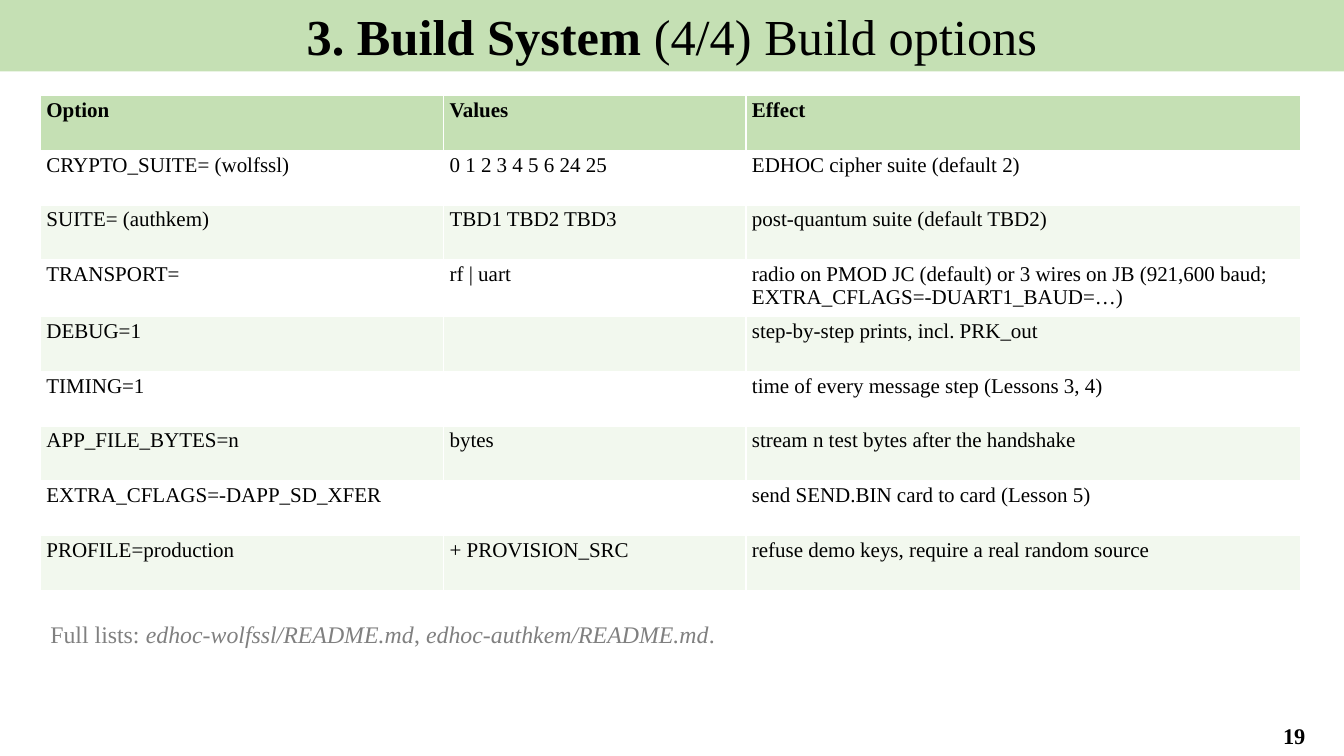
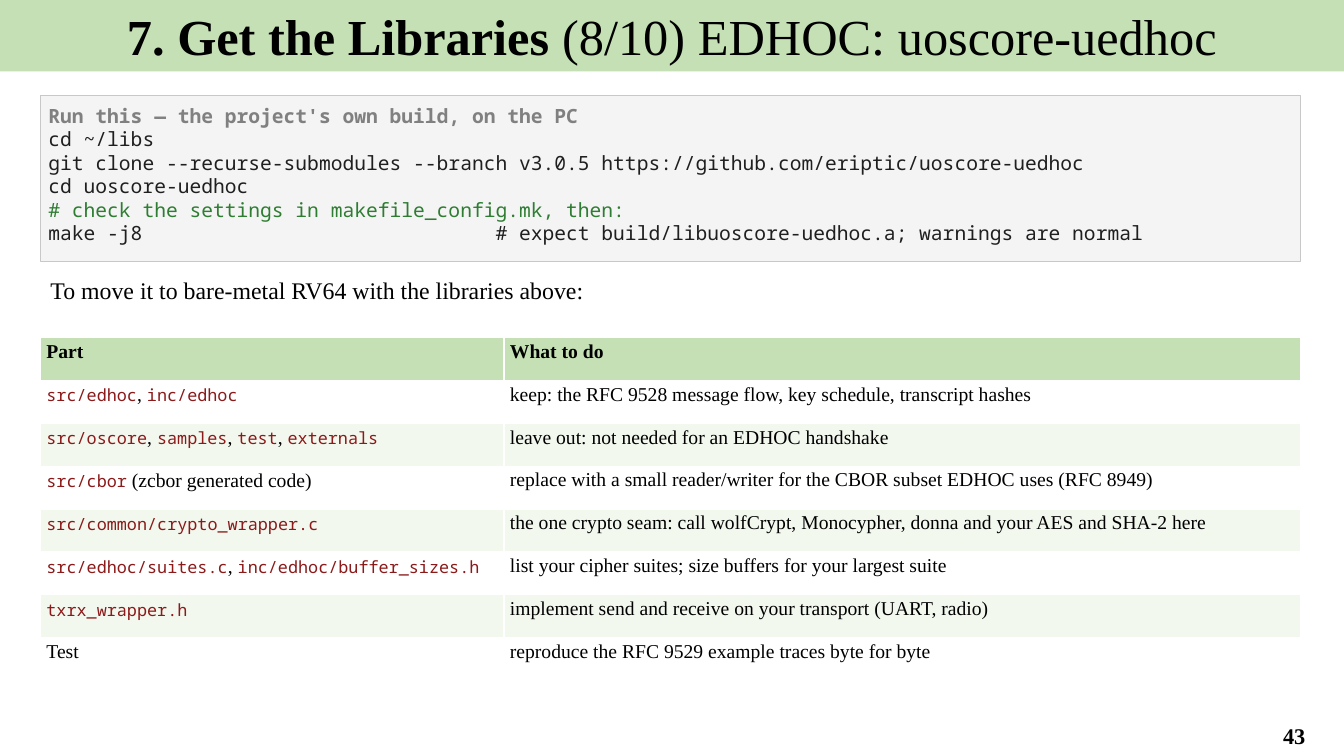
from pptx import Presentation
from pptx.dml.color import RGBColor
from pptx.enum.shapes import MSO_SHAPE
from pptx.enum.text import MSO_ANCHOR, PP_ALIGN
from pptx.util import Cm, Pt

BLACK = RGBColor(0x00, 0x00, 0x00)
WHITE = RGBColor(0xFF, 0xFF, 0xFF)
GREEN = RGBColor(0xC5, 0xE0, 0xB4)
PALE_GREEN = RGBColor(0xF2, 0xF8, 0xEE)
GREY = RGBColor(0x80, 0x80, 0x80)
CODE_FILL = RGBColor(0xF4, 0xF4, 0xF4)
CODE_LINE = RGBColor(0xC8, 0xC8, 0xC8)
CODE_TEXT = RGBColor(0x1F, 0x1F, 0x1F)
COMMENT = RGBColor(0x2E, 0x7D, 0x32)
CODE_RED = RGBColor(0x8B, 0x1A, 0x1A)

SERIF = "Times New Roman"
MONO = "Noto Sans Mono"
RECTANGLE = MSO_SHAPE.RECTANGLE
TOP, MIDDLE = MSO_ANCHOR.TOP, MSO_ANCHOR.MIDDLE
LEFT, CENTER = PP_ALIGN.LEFT, PP_ALIGN.CENTER

SLIDE_WIDTH, SLIDE_HEIGHT = Cm(33.87), Cm(19.05)
MARGIN = Cm(1.02)
CONTENT_WIDTH = Cm(31.75)
CONTENT_TOP = Cm(2.41)

BOLD = {"bold": True}
ITALIC = {"italic": True}
PATH = {"font_name": MONO, "size": 12, "color": CODE_RED}

BUILD_OPTIONS = [
    ("Option", "Values", "Effect"),
    ("CRYPTO_SUITE= (wolfssl)", "0 1 2 3 4 5 6 24 25", "EDHOC cipher suite (default 2)"),
    ("SUITE= (authkem)", "TBD1 TBD2 TBD3", "post-quantum suite (default TBD2)"),
    ("TRANSPORT=", "rf | uart",
     "radio on PMOD JC (default) or 3 wires on JB (921,600 baud; EXTRA_CFLAGS=-DUART1_BAUD=…)"),
    ("DEBUG=1", "", "step-by-step prints, incl. PRK_out"),
    ("TIMING=1", "", "time of every message step (Lessons 3, 4)"),
    ("APP_FILE_BYTES=n", "bytes", "stream n test bytes after the handshake"),
    ("EXTRA_CFLAGS=-DAPP_SD_XFER", "", "send SEND.BIN card to card (Lesson 5)"),
    ("PROFILE=production", "+ PROVISION_SRC", "refuse demo keys, require a real random source"),
]
FULL_LISTS = [
    ("Full lists: ", {}),
    ("edhoc-wolfssl/README.md", ITALIC),
    (", ", {}),
    ("edhoc-authkem/README.md", ITALIC),
    (".", {}),
]

BUILD_COMMANDS = [
    ("Run this — the project's own build, on the PC", {"color": GREY, "bold": True}),
    ("cd ~/libs", {}),
    ("git clone --recurse-submodules --branch v3.0.5 https://github.com/eriptic/uoscore-uedhoc", {}),
    ("cd uoscore-uedhoc", {}),
    ("# check the settings in makefile_config.mk, then:", {"color": COMMENT}),
    ("make -j8                              # expect build/libuoscore-uedhoc.a; warnings are normal", {}),
]
PORTING_INTRO = "To move it to bare-metal RV64 with the libraries above:"


def path_list(*paths):
    """Runs for file paths set as code, with plain commas between them."""
    runs = [(paths[0], PATH)]
    for path_name in paths[1:]:
        runs += [(", ", {}), (path_name, PATH)]
    return runs


PORTING_STEPS = [
    ("Part", "What to do"),
    (path_list("src/edhoc", "inc/edhoc"),
     "keep: the RFC 9528 message flow, key schedule, transcript hashes"),
    (path_list("src/oscore", "samples", "test", "externals"),
     "leave out: not needed for an EDHOC handshake"),
    (path_list("src/cbor") + [(" (zcbor generated code)", {})],
     "replace with a small reader/writer for the CBOR subset EDHOC uses (RFC 8949)"),
    (path_list("src/common/crypto_wrapper.c"),
     "the one crypto seam: call wolfCrypt, Monocypher, donna and your AES and SHA-2 here"),
    (path_list("src/edhoc/suites.c", "inc/edhoc/buffer_sizes.h"),
     "list your cipher suites; size buffers for your largest suite"),
    (path_list("txrx_wrapper.h"),
     "implement send and receive on your transport (UART, radio)"),
    ("Test", "reproduce the RFC 9529 example traces byte for byte"),
]


def format_font(font, font_name=SERIF, size=17, color=BLACK, bold=False, italic=False):
    font.name, font.size = font_name, Pt(size)
    font.bold, font.italic = bold, italic
    font.color.rgb = color


def write_runs(paragraph, content, **base):
    """Write a string or (text, style) runs; run styles override the base style."""
    if isinstance(content, str):
        content = [(content, {})] if content else []
    for text, style in content:
        run = paragraph.add_run()
        run.text = text
        format_font(run.font, **{**base, **style})


def add_box(slide, left, top, width, height, fill, line=None):
    box = slide.shapes.add_shape(RECTANGLE, left, top, width, height)
    box.shadow.inherit = False
    box.fill.solid()
    box.fill.fore_color.rgb = fill
    if line is None:
        box.line.fill.background()
    else:
        box.line.color.rgb = line
        box.line.width = Pt(0.75)
    box.text_frame.vertical_anchor = TOP
    return box


def add_text(slide, content, left, top, width, height, **base):
    frame = slide.shapes.add_textbox(left, top, width, height).text_frame
    frame.word_wrap = True
    write_runs(frame.paragraphs[0], content, **base)
    return frame


def add_body_line(slide, content, top, height, **base):
    frame = add_text(slide, content, MARGIN, top, CONTENT_WIDTH, height, **base)
    frame.paragraphs[0].space_after = Pt(4)


def add_titled_slide(deck, heading, subtitle, page_number):
    slide = deck.slides.add_slide(deck.slide_layouts[6])
    band = add_box(slide, 0, 0, SLIDE_WIDTH, Cm(1.8), GREEN)
    title = band.text_frame.paragraphs[0]
    title.alignment = CENTER
    write_runs(title, [(heading + " ", BOLD), (subtitle, {})], size=36)
    page = add_text(slide, str(page_number), Cm(31.37), Cm(18.03), Cm(2.49), Cm(1),
                    size=16, bold=True)
    page.vertical_anchor = MIDDLE
    page.paragraphs[0].alignment = CENTER
    return slide


def add_banded_table(slide, rows, top, column_widths, row_height, size):
    table = slide.shapes.add_table(len(rows), len(column_widths), MARGIN, top,
                                   CONTENT_WIDTH, row_height * len(rows)).table
    for column, width in zip(table.columns, column_widths):
        column.width = width
    for r, row in enumerate(rows):
        table.rows[r].height = row_height
        fill = GREEN if r == 0 else (WHITE if r % 2 else PALE_GREEN)
        for c, content in enumerate(row):
            cell = table.cell(r, c)
            cell.fill.solid()
            cell.fill.fore_color.rgb = fill
            cell.margin_left = cell.margin_right = Cm(0.15)
            cell.margin_top = cell.margin_bottom = Cm(0.08)
            write_runs(cell.text_frame.paragraphs[0], content, size=size, bold=r == 0)


def add_code_block(slide, lines, height):
    box = add_box(slide, MARGIN, CONTENT_TOP, CONTENT_WIDTH, height, CODE_FILL, CODE_LINE)
    frame = box.text_frame
    frame.word_wrap = False
    frame.margin_left = frame.margin_right = Cm(0.2)
    frame.margin_top = frame.margin_bottom = Cm(0.2)
    frame.text = "\n".join(text for text, _ in lines)
    for paragraph, (_, style) in zip(frame.paragraphs, lines):
        paragraph.alignment = LEFT
        code_style = {"font_name": MONO, "size": 14, "color": CODE_TEXT, **style}
        format_font(paragraph.runs[0].font, **code_style)


def main():
    deck = Presentation()
    deck.slide_width, deck.slide_height = SLIDE_WIDTH, SLIDE_HEIGHT

    options = add_titled_slide(deck, "3. Build System", "(4/4) Build options", 19)
    add_banded_table(options, BUILD_OPTIONS, CONTENT_TOP,
                     (Cm(10.16), Cm(7.62), Cm(13.97)), Cm(1.38), 15)
    add_body_line(options, FULL_LISTS, Cm(15.49), Cm(1.52), color=GREY)

    library = add_titled_slide(deck, "7. Get the Libraries", "(8/10) EDHOC: uoscore-uedhoc", 43)
    add_code_block(library, BUILD_COMMANDS, Cm(4.17))
    add_body_line(library, PORTING_INTRO, Cm(6.83), Cm(1.27))
    add_banded_table(library, PORTING_STEPS, Cm(8.51),
                     (Cm(11.68), Cm(20.07)), Cm(1.08), 14)

    deck.save("out.pptx")


if __name__ == "__main__":
    main()
